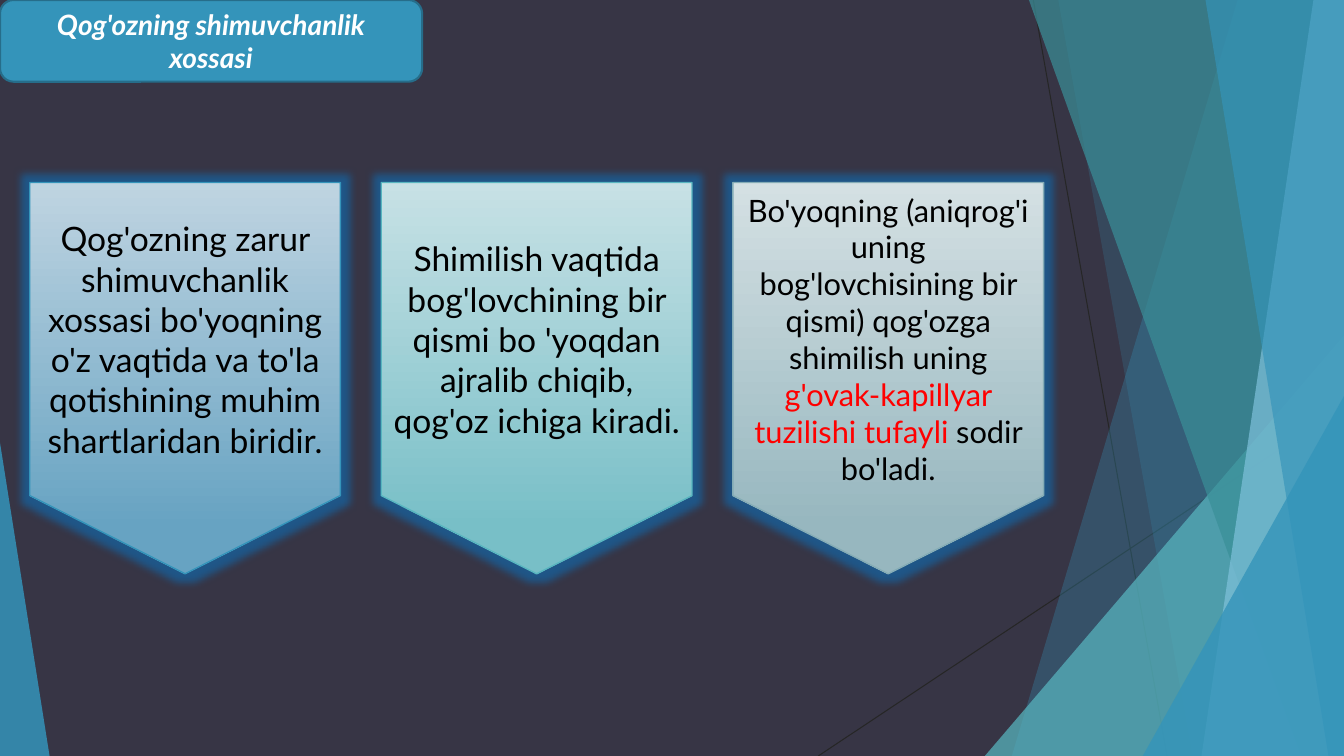
from lxml import etree
from pptx import Presentation
from pptx.dml.color import RGBColor
from pptx.enum.shapes import MSO_CONNECTOR, MSO_SHAPE
from pptx.enum.text import MSO_ANCHOR, PP_ALIGN
from pptx.oxml.ns import qn
from pptx.util import Cm, Pt

COLORS = {
    "background": "373545", "hairline": "262626",
    "blue": "3494BA", "teal": "58B6C0", "dark teal": "3A8F98",
    "light blue": "7FC1DB", "title edge": "266D8A", "gray blue": "84ACB6",
    "glow": "1F5687", "white": "FFFFFF", "black": "000000", "red": "FF0000",
    "blue top": "BFD4E1", "blue bottom": "67A3C2",
    "teal top": "C7E1E5", "teal bottom": "78BFC7",
    "gray top": "D4E0E3", "gray bottom": "97B7BF",
}
WIDTH, HEIGHT = 33.87, 19.05


def rgb(name):
    return RGBColor.from_string(COLORS[name])


def write_text(shape, runs, size, bold=False):
    """Fill a shape with one centred paragraph of (text, colour) runs."""
    frame = shape.text_frame
    frame.word_wrap = True
    frame.vertical_anchor = MSO_ANCHOR.MIDDLE
    paragraph = frame.paragraphs[0]
    paragraph.alignment = PP_ALIGN.CENTER
    for text, color in runs:
        run = paragraph.add_run()
        run.text = text
        run.font.name = "Lato"
        run.font.size = Pt(size)
        run.font.bold = run.font.italic = bold
        run.font.color.rgb = rgb(color)


presentation = Presentation()
presentation.slide_width, presentation.slide_height = Cm(WIDTH), Cm(HEIGHT)
slide = presentation.slides.add_slide(presentation.slide_layouts[6])
slide.background.fill.solid()
slide.background.fill.fore_color.rgb = rgb("background")
shapes = slide.shapes

# Thin lines behind the facets
for x1, y1, x2, y2 in [(26.04, 0, 29.41, HEIGHT), (WIDTH, 10.24, 20.62, HEIGHT)]:
    hairline = shapes.add_connector(
        MSO_CONNECTOR.STRAIGHT, Cm(x1), Cm(y1), Cm(x2), Cm(y2))
    hairline.line.color.rgb = rgb("hairline")
    hairline.line.width = Pt(0.75)
    etree.SubElement(hairline._element.spPr, qn("a:effectLst"))

# Translucent facets: a band is (top x, bottom x) and runs to the right edge,
# a triangle is (left, top, width, apex) and stands on the bottom edge
facets = [
    ((31.19, 25.5), "blue", 30),
    ((26.67, 30.05), "blue", 20),
    ((24.82, 8.46, 9.05, 1), "teal", 72),
    ((25.93, 32.79), "dark teal", 70),
    ((33.1, 30.28), "light blue", 70),
    ((30.38, 33.48), "blue", 65),
    ((28.8, 9.98, 5.07, 1), "blue", 80),
    ((0, 11.15, 1.25, 0), "blue", 85),
]
for geometry, color, opacity in facets:
    if len(geometry) == 2:
        top_x, bottom_x = geometry
        builder = shapes.build_freeform(Cm(top_x), 0)
        corners = [(WIDTH, 0), (WIDTH, HEIGHT), (bottom_x, HEIGHT)]
        builder.add_line_segments([(Cm(x), Cm(y)) for x, y in corners])
        facet = builder.convert_to_shape()
    else:
        left, top, width, apex = geometry
        facet = shapes.add_shape(MSO_SHAPE.ISOSCELES_TRIANGLE, Cm(left), Cm(top),
                                 Cm(width), Cm(HEIGHT - top))
        facet.adjustments[0] = apex
    facet.shadow.inherit = False
    facet.line.fill.background()
    facet.fill.solid()
    facet.fill.fore_color.rgb = rgb(color)
    color_element = facet._element.spPr.find(qn("a:solidFill"))[0]
    etree.SubElement(color_element, qn("a:alpha"), val=str(opacity * 1000))

# Title
title = shapes.add_shape(MSO_SHAPE.ROUNDED_RECTANGLE, 0, 0, Cm(10.64), Cm(2.06))
title.shadow.inherit = False
title.fill.solid()
title.fill.fore_color.rgb = rgb("blue")
title.line.color.rgb = rgb("title edge")
title.line.width = Pt(1.5)
write_text(title, [("Qog'ozning shimuvchanlik xossasi", "white")], 20, bold=True)

# Three glowing pennants
pennants = [
    ("blue", "blue", 24, [
        ("Qog'ozning zarur shimuvchanlik xossasi bo'yoqning o'z vaqtida va "
         "to'la qotishining muhim shartlaridan biridir.", "black")]),
    ("teal", "teal", 24, [
        ("Shimilish vaqtida bog'lovchining bir qismi bo 'yoqdan ajralib "
         "chiqib, qog'oz ichiga kiradi.", "black")]),
    ("gray", "gray blue", 22, [
        ("Bo'yoqning (aniqrog'i uning bog'lovchisining bir qismi) qog'ozga "
         "shimilish uning ", "black"),
        ("g'ovak-kapillyar tuzilishi tufayli ", "red"),
        ("sodir bo'ladi.", "black")]),
]
for index, (shade, edge, size, runs) in enumerate(pennants):
    pennant = shapes.add_shape(MSO_SHAPE.FLOWCHART_OFFPAGE_CONNECTOR,
                               Cm(0.75 + 8.86 * index), Cm(4.6), Cm(7.83), Cm(9.86))
    pennant.fill.gradient()
    pennant.fill.gradient_angle = 270
    for stop, end, position in zip(pennant.fill.gradient_stops,
                                   ("top", "bottom"), (0, 0.88)):
        stop.color.rgb = rgb(f"{shade} {end}")
        stop.position = position
    pennant.line.color.rgb = rgb(edge)
    pennant.line.width = Pt(1)
    pennant.shadow.inherit = False
    effects = pennant._element.spPr.find(qn("a:effectLst"))
    glow = etree.SubElement(effects, qn("a:glow"), rad=str(Pt(11)))
    etree.SubElement(glow, qn("a:srgbClr"), val=COLORS["glow"])
    write_text(pennant, runs, size)

presentation.save("out.pptx")
